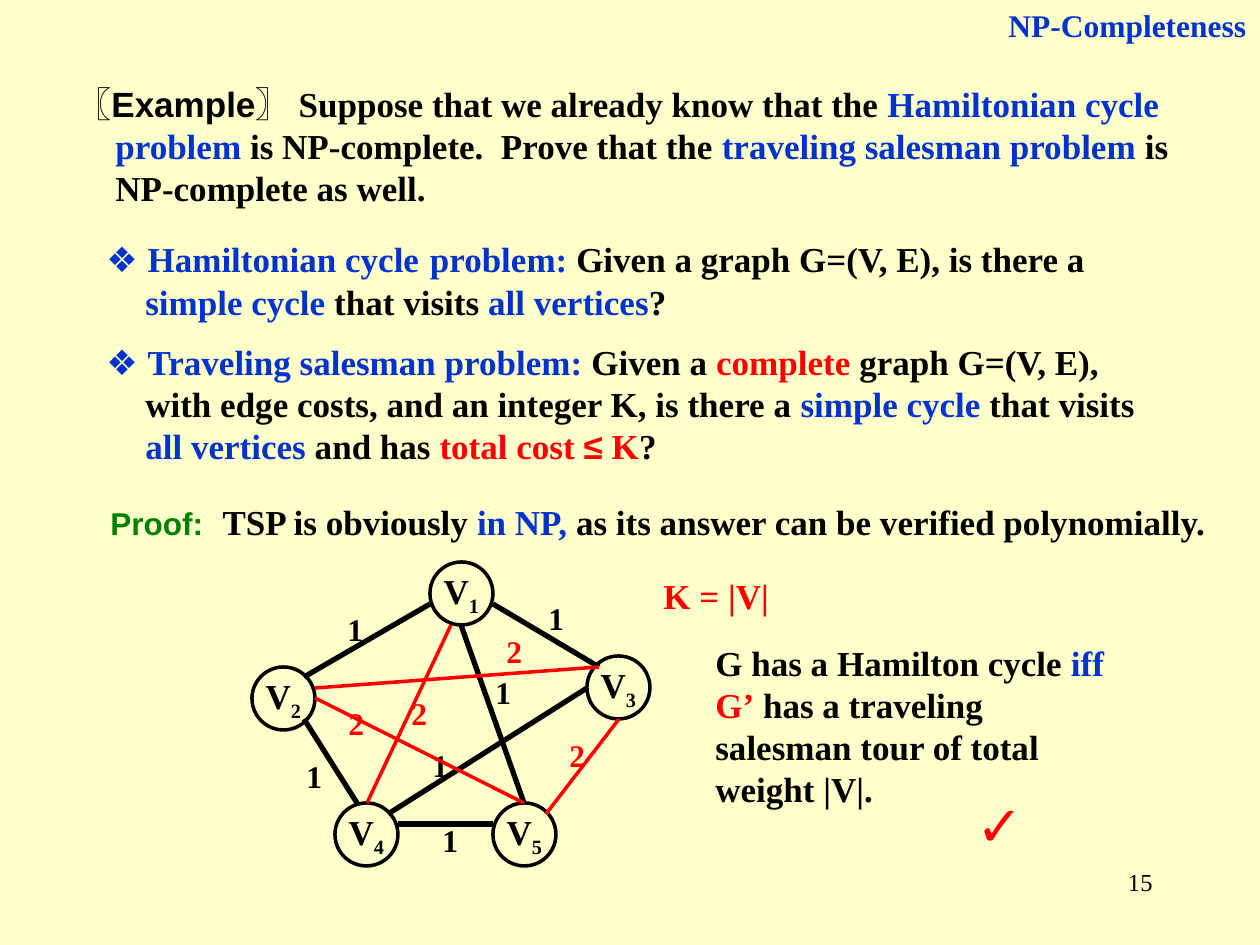
import dataclasses

import lxml.etree
import pptx
import pptx.dml.color
import pptx.enum.shapes
import pptx.enum.text
import pptx.oxml.ns
import pptx.util

ALIGN = pptx.enum.text.PP_ALIGN
ANCHOR = pptx.enum.text.MSO_ANCHOR
EMU_PER_PX = 914400 / 126
NODE_SIZE = 63


@dataclasses.dataclass(frozen=True)
class Theme:
    background: str = "FFFFCC"
    black: str = "000000"
    blue: str = "0033CC"
    red: str = "FF0000"
    green: str = "008000"
    serif: str = "Times New Roman"
    sans: str = "Arial"
    cjk: str = "Noto Sans CJK SC"
    body: int = 20
    label: int = 18
    number: int = 14
    space: int = 24
    tick: int = 32


THEME = Theme()


@dataclasses.dataclass(frozen=True)
class Run:
    text: str
    color: str = THEME.black
    font: str = THEME.serif
    size: int = THEME.body
    bold: bool = True
    subscript: bool = False


def blue(text):
    return Run(text, THEME.blue)


def red(text):
    return Run(text, THEME.red)


BULLET = Run("❖ ", THEME.blue, THEME.sans)

# Runs, box (left, top, width, height) and hanging indent
PARAGRAPHS = [
    ([Run("〖", font=THEME.cjk), Run("Example", font=THEME.sans), Run("〗 ", font=THEME.cjk),
      Run("Suppose that we already know that the "), blue("Hamiltonian cycle problem "),
      Run("is NP-complete.  Prove that the "), blue("traveling salesman problem"),
      Run(" is NP-complete as well.")],
     (64, 76, 1134, 139), 39),
    ([BULLET, blue("Hamiltonian cycle"), Run(" ", size=THEME.space, bold=False),
      blue("problem: "), Run("Given a graph G=(V, E), is there a "), blue("simple cycle"),
      Run(" that visits "), blue("all vertices"), Run("?")],
     (94, 224, 1071, 106), 39),
    ([BULLET, blue("Traveling salesman problem: "), Run("Given a "), red("complete"),
      Run(" graph G=(V, E), with edge costs, and an integer K, is there a "),
      blue("simple cycle"), Run(" that visits "), blue("all vertices"), Run(" and has "),
      red("total cost "), Run("≤", THEME.red, THEME.sans), red(" K"), Run("?")],
     (94, 334, 1071, 139), 39),
    ([Run("Proof:", THEME.green, THEME.sans, THEME.label), Run("  ", THEME.green, THEME.sans),
      Run("TSP is obviously "), blue("in NP,"),
      Run(" as its answer can be verified polynomially.")],
     (98, 494, 1155, 55), 117),
    ([red("K = |V|")], (651, 568, 131, 55), 0),
    ([Run("G has a Hamilton cycle "), blue("iff "), red("G’"),
      Run(" has a traveling salesman tour of total weight |V|.")],
     (703, 635, 431, 181), 0),
]

NODES = [(430, 562), (252, 667), (587, 656), (335, 803), (493, 803)]

# Cost, start, end and top left of the cost label
EDGES = [
    (1, (430, 604), (304, 677), (335, 604)),
    (1, (587, 688), (388, 814), (420, 740)),
    (1, (493, 604), (599, 667), (536, 593)),
    (1, (304, 719), (357, 803), (294, 751)),
    (1, (398, 824), (493, 824), (430, 815)),
    (1, (461, 625), (524, 803), (483, 667)),
    (2, (451, 625), (367, 803), (399, 688)),
    (2, (315, 688), (599, 667), (494, 626)),
    (2, (619, 719), (546, 814), (557, 730)),
    (2, (315, 698), (524, 803), (336, 698)),
]
# Colour and line width in points for each cost
EDGE_STYLES = {1: (THEME.black, 3), 2: (THEME.red, 2)}


def px(length):
    return pptx.util.Emu(round(length * EMU_PER_PX))


def rgb(color):
    return pptx.dml.color.RGBColor.from_string(color)


def add_run(paragraph, run):
    text_run = paragraph.add_run()
    text_run.text = run.text
    font = text_run.font
    font.name = run.font
    font.size = pptx.util.Pt(run.size)
    font.bold = run.bold
    font.color.rgb = rgb(run.color)
    properties = text_run._r.get_or_add_rPr()
    east_asian = lxml.etree.SubElement(properties, pptx.oxml.ns.qn("a:ea"))
    east_asian.set("typeface", run.font)
    if run.subscript:
        properties.set("baseline", "-25000")


def fill_text(shape, runs, align=ALIGN.LEFT, anchor=ANCHOR.TOP, wrap=True, indent=0):
    frame = shape.text_frame
    frame.word_wrap = wrap
    frame.auto_size = pptx.enum.text.MSO_AUTO_SIZE.NONE
    frame.vertical_anchor = anchor
    paragraph = frame.paragraphs[0]
    paragraph.alignment = align
    if indent:
        properties = paragraph._p.get_or_add_pPr()
        properties.set("marL", str(px(indent)))
        properties.set("indent", str(-px(indent)))
    for run in runs:
        add_run(paragraph, run)


def add_text(slide, box, runs, **options):
    shape = slide.shapes.add_textbox(*map(px, box))
    fill_text(shape, runs, **options)


def add_title(slide, box, run):
    title = slide.shapes.title
    title.left, title.top, title.width, title.height = map(px, box)
    fill_text(title, [run], align=ALIGN.RIGHT)


def add_node(slide, number, left, top):
    node = slide.shapes.add_shape(
        pptx.enum.shapes.MSO_SHAPE.OVAL, *map(px, (left, top, NODE_SIZE, NODE_SIZE)))
    node.shadow.inherit = False
    node.fill.background()
    node.line.color.rgb = rgb(THEME.black)
    node.line.width = pptx.util.Pt(2)
    fill_text(node, [Run("V"), Run(str(number), subscript=True)],
              align=ALIGN.CENTER, anchor=ANCHOR.MIDDLE, wrap=False)


def add_edge(slide, cost, start, end, label):
    color, width = EDGE_STYLES[cost]
    edge = slide.shapes.add_connector(
        pptx.enum.shapes.MSO_CONNECTOR.STRAIGHT, *map(px, start + end))
    edge.line.color.rgb = rgb(color)
    edge.line.width = pptx.util.Pt(width)
    lxml.etree.SubElement(edge._element.spPr, pptx.oxml.ns.qn("a:effectLst"))
    add_text(slide, label + (41, 50), [Run(str(cost), color, size=THEME.label)], wrap=False)


def main():
    presentation = pptx.Presentation()
    presentation.slide_width = px(1260)
    presentation.slide_height = px(945)
    slide = presentation.slides.add_slide(presentation.slide_layouts[5])
    slide.background.fill.solid()
    slide.background.fill.fore_color.rgb = rgb(THEME.background)

    add_title(slide, (886, 0, 373, 50), Run("NP-Completeness", THEME.blue, size=THEME.label))
    for runs, box, indent in PARAGRAPHS:
        add_text(slide, box, runs, indent=indent)
    for number, (left, top) in enumerate(NODES, start=1):
        add_node(slide, number, left, top)
    for edge in EDGES:
        add_edge(slide, *edge)
    add_text(slide, (958, 784, 84, 81),
             [Run("✓", THEME.red, THEME.sans, THEME.tick)], align=ALIGN.CENTER)
    add_text(slide, (903, 861, 262, 63),
             [Run("15", size=THEME.number, bold=False)], align=ALIGN.RIGHT)
    presentation.save("out.pptx")


if __name__ == "__main__":
    main()
